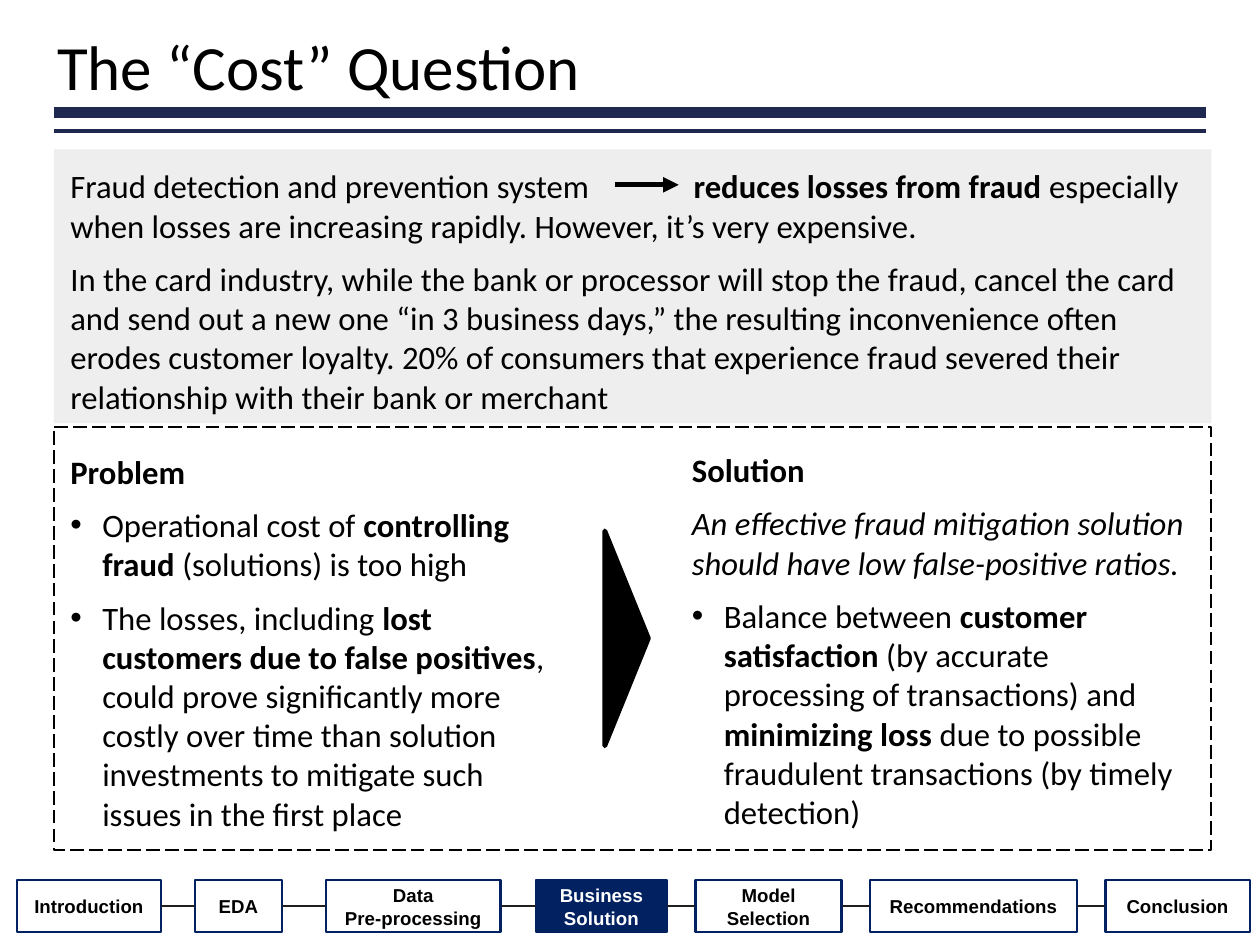
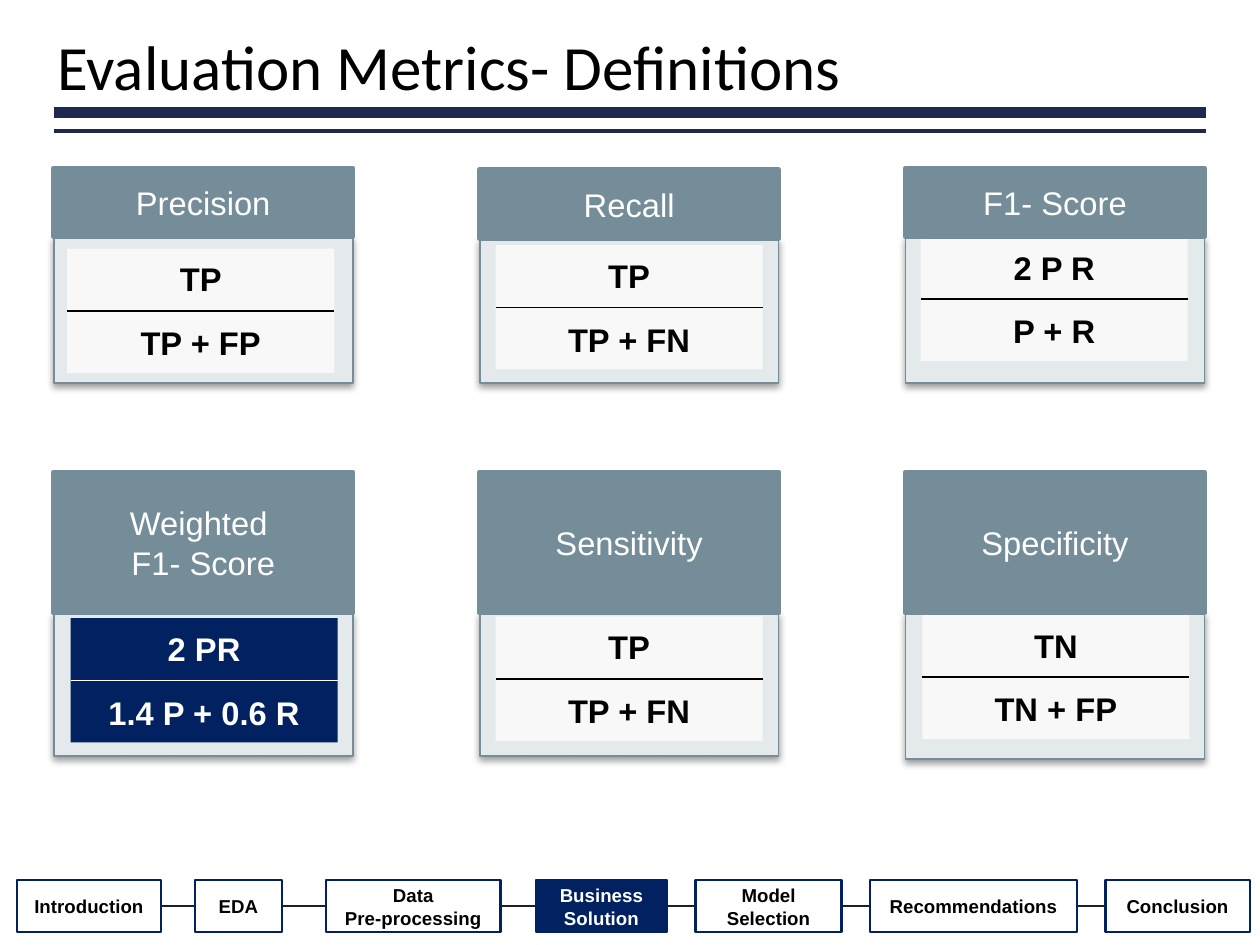
from pptx import Presentation
from pptx.dml.color import RGBColor
from pptx.enum.dml import MSO_LINE
from pptx.enum.shapes import MSO_CONNECTOR, MSO_SHAPE
from pptx.enum.text import MSO_ANCHOR, PP_ALIGN
from pptx.oxml import parse_xml
from pptx.oxml.ns import nsdecls, qn
from pptx.util import Inches, Pt

BLACK = RGBColor(0x00, 0x00, 0x00)
WHITE = RGBColor(0xFF, 0xFF, 0xFF)
NAVY = RGBColor(0x01, 0x21, 0x61)
RULE = RGBColor(0x1F, 0x28, 0x4F)
LINK = RGBColor(0x20, 0x20, 0x20)
PANEL = RGBColor(0xEE, 0xEE, 0xEE)
SLATE = RGBColor(0x74, 0x8D, 0x99)
CARD = RGBColor(0xE4, 0xE9, 0xEB)
FORMULA = RGBColor(0xF8, 0xF8, 0xF8)

SLIDE_WIDTH = 7.5
SLIDE_HEIGHT = SLIDE_WIDTH * 3 / 4

TITLE_FONT = {"name": "Calibri", "size": Pt(27)}
BODY_FONT = {"name": "Calibri", "size": Pt(14)}
STEP_FONT = {"name": "Arial", "size": Pt(8), "bold": True}
CARD_FONT = {"name": "Arial", "size": Pt(14)}
FORMULA_FONT = {"name": "Arial", "size": Pt(14), "bold": True}
CENTERED = {"alignment": PP_ALIGN.CENTER}

STEPS = [
    (["Introduction"], 0.1, 0.86),
    (["EDA"], 1.16, 0.52),
    (["Data", "Pre-processing"], 1.94, 1.04),
    (["Business Solution"], 3.19, 0.78),
    (["Model Selection"], 4.14, 0.87),
    (["Recommendations"], 5.18, 1.23),
    (["Conclusion"], 6.58, 0.86),
]
CURRENT_STEP = ["Business Solution"]
STEP_TOP, STEP_HEIGHT = 5.24, 0.31

BOLD = {"bold": True}
ITALIC = {"italic": True}
COST = [
    [
        ("Fraud detection and prevention system\t", {}),
        ("reduces losses from fraud", BOLD),
        (" especially when losses are increasing rapidly. However, it’s very expensive.", {}),
    ],
    [
        ("In the card industry, while the bank or processor will stop the fraud, cancel the card "
         "and send out a new one “in 3 business days,” the resulting inconvenience often erodes "
         "customer loyalty. 20% of consumers that experience fraud severed their relationship "
         "with their bank or merchant", {}),
    ],
]
PROBLEM = [
    [("Problem", BOLD)],
    [
        ("Operational cost of ", {}),
        ("controlling fraud ", BOLD),
        ("(solutions) is too high", {}),
    ],
    [
        ("The losses, including ", {}),
        ("lost customers due to false positives", BOLD),
        (", could prove significantly more costly over time than solution investments "
         "to mitigate such issues in the first place", {}),
    ],
]
SOLUTION = [
    [("Solution", BOLD)],
    [("An effective fraud mitigation solution should have low false-positive ratios.", ITALIC)],
    [
        ("Balance between ", {}),
        ("customer satisfaction ", BOLD),
        ("(by accurate processing of transactions) and ", {}),
        ("minimizing loss ", BOLD),
        ("due to possible fraudulent transactions (by timely detection)", {}),
    ],
]

CARD_ROWS = [
    (0.41, [
        (["Precision"], 1.0, 2.28, 0.4, 1.48, ["TP", "TP + FP"]),
        (["Recall"], 1.01, 2.28, 2.95, 1.46, ["TP", "TP + FN"]),
        (["F1- Score"], 1.0, 2.28, 5.48, 1.41, ["2 P R", "P + R"]),
    ]),
    (0.84, [
        (["Weighted ", "F1- Score"], 2.81, 4.5, 0.42, 3.68, ["2 PR", "1.4 P + 0.6 R"]),
        (["Sensitivity"], 2.81, 4.5, 2.95, 3.67, ["TP", "TP + FN"]),
        (["Specificity"], 2.81, 4.52, 5.49, 3.66, ["TN", "TN + FP"]),
    ]),
]
HIGHLIGHTED = ["2 PR", "1.4 P + 0.6 R"]
CARD_LEFT, CARD_WIDTH, CARD_RIGHT = 0.32, 1.78, 7.17
FORMULA_WIDTH, FORMULA_HEIGHT = 1.59, 0.74


def apply_format(target, values):
    for name, value in values.items():
        setattr(target, name, value)


def plain(lines):
    return [[(line, {})] for line in lines]


def write(shape, paragraphs, font, color=BLACK, gap=0, layout={}, bullets=(), tab=None,
          margins=(0.1, 0.05), anchor=MSO_ANCHOR.TOP):
    frame = shape.text_frame
    side, edge = (Inches(margin) for margin in margins)
    apply_format(frame, {
        "word_wrap": True, "vertical_anchor": anchor,
        "margin_left": side, "margin_right": side,
        "margin_top": edge, "margin_bottom": edge,
    })
    for index, runs in enumerate(paragraphs):
        paragraph = frame.add_paragraph() if index else frame.paragraphs[0]
        properties = paragraph._p.get_or_add_pPr()
        if index in bullets:
            properties.set("marL", str(Inches(0.19)))
            properties.set("indent", str(Inches(-0.19)))
            for xml in ('<a:buFont %s typeface="Arial"/>', '<a:buChar %s char="•"/>'):
                properties.append(parse_xml(xml % nsdecls("a")))
        if tab and index == 0:
            properties.append(parse_xml(
                f'<a:tabLst {nsdecls("a")}><a:tab pos="{Inches(tab)}" algn="l"/></a:tabLst>'))
        apply_format(paragraph, layout)
        if index and gap:
            paragraph.space_before = Pt(gap)
        for text, emphasis in runs:
            run = paragraph.add_run()
            run.text = text
            apply_format(run.font, {**font, **emphasis})
            run.font.color.rgb = color


def add_box(slide, left, top, width, height, fill=None, line=None, weight=1,
            kind=MSO_SHAPE.RECTANGLE):
    shape = slide.shapes.add_shape(
        kind, Inches(left), Inches(top), Inches(width), Inches(height))
    shape.shadow.inherit = False
    if fill is None:
        shape.fill.background()
    else:
        shape.fill.solid()
        shape.fill.fore_color.rgb = fill
    if line is None:
        shape.line.fill.background()
    else:
        shape.line.color.rgb = line
        shape.line.width = Pt(weight)
    return shape


def add_text(slide, left, top, width, height, paragraphs, font, **options):
    box = slide.shapes.add_textbox(
        Inches(left), Inches(top), Inches(width), Inches(height))
    write(box, paragraphs, font, **options)


def add_line(slide, start, end, y, color, weight):
    connector = slide.shapes.add_connector(
        MSO_CONNECTOR.STRAIGHT, Inches(start), Inches(y), Inches(end), Inches(y))
    connector.line.color.rgb = color
    connector.line.width = Pt(weight)
    connector.element.spPr.append(parse_xml(f'<a:effectLst {nsdecls("a")}/>'))
    return connector


def add_shadow(shape):
    shape.element.spPr.find(qn("a:effectLst")).append(parse_xml(
        f'<a:outerShdw {nsdecls("a")} blurRad="{Pt(3.1)}" dist="{Pt(1.6)}" dir="5400000" '
        'algn="t" rotWithShape="0"><a:srgbClr val="000000"><a:alpha val="38000"/>'
        '</a:srgbClr></a:outerShdw>'))


def add_steps(slide):
    previous = None
    for lines, left, width in STEPS:
        current = lines == CURRENT_STEP
        step = add_box(slide, left, STEP_TOP, width, STEP_HEIGHT,
                       NAVY if current else WHITE, NAVY)
        write(step, plain(lines), STEP_FONT, WHITE if current else BLACK, layout=CENTERED,
              margins=(0.05, 0), anchor=MSO_ANCHOR.MIDDLE)
        if previous is not None:
            link = add_line(slide, left, left, STEP_TOP, LINK, 0.75)
            link.begin_connect(previous, 3)
            link.end_connect(step, 1)
        previous = step


def add_base_slide(presentation, title):
    slide = presentation.slides.add_slide(presentation.slide_layouts[6])
    add_steps(slide)
    for y, weight in ((0.67, 4.5), (0.78, 1.5)):
        add_line(slide, 0.32, 7.18, y, RULE, weight)
    add_text(slide, 0.28, 0.16, 6.89, 0.51, plain([title]), TITLE_FONT,
             layout={"line_spacing": 0.9}, margins=(0.06, 0.03), anchor=MSO_ANCHOR.MIDDLE)
    return slide


def add_cost_slide(presentation):
    slide = add_base_slide(presentation, "The “Cost” Question")
    panel = add_box(slide, 0.32, 0.89, 6.89, 1.63, PANEL)
    write(panel, COST, BODY_FONT, gap=6, layout={"alignment": PP_ALIGN.LEFT},
          tab=3.71, margins=(0.1, 0.1))
    frame = add_box(slide, 0.32, 2.54, 6.89, 2.52, line=BLACK, weight=0.75)
    frame.line.dash_style = MSO_LINE.LONG_DASH
    arrow = add_line(slide, 3.66, 4.04, 1.1, BLACK, 2.25)
    arrow.element.spPr.find(qn("a:ln")).append(
        parse_xml(f'<a:tailEnd {nsdecls("a")} type="triangle"/>'))
    add_text(slide, 0.32, 2.64, 3.12, 2.63, PROBLEM, BODY_FONT, gap=6, bullets=(1, 2))
    pointer = add_box(slide, 3.09, 3.67, 1.28, 0.26, BLACK, BLACK, 2,
                      MSO_SHAPE.FLOWCHART_EXTRACT)
    pointer.rotation = 90
    add_text(slide, 4.02, 2.63, 3.16, 2.39, SOLUTION, BODY_FONT, gap=6, bullets=(2,))


def add_card(slide, left, header_height, card):
    title, top, bottom, formula_left, formula_top, formula = card
    body_top = top + header_height
    highlighted = formula == HIGHLIGHTED
    ink = WHITE if highlighted else BLACK
    body = add_box(slide, left, body_top, CARD_WIDTH, bottom - body_top, CARD, SLATE, 0.75)
    add_shadow(body)
    fraction = add_box(slide, formula_left, formula_top, FORMULA_WIDTH, FORMULA_HEIGHT,
                       NAVY if highlighted else FORMULA)
    write(fraction, plain(formula), FORMULA_FONT, ink, gap=10.5, layout=CENTERED,
          anchor=MSO_ANCHOR.MIDDLE)
    add_line(slide, formula_left, formula_left + FORMULA_WIDTH,
             formula_top + FORMULA_HEIGHT / 2, ink, 0.75)
    header = add_box(slide, left, top, CARD_WIDTH, header_height, SLATE, SLATE, 2)
    write(header, plain(title), CARD_FONT, WHITE, layout=CENTERED, anchor=MSO_ANCHOR.MIDDLE)


def add_metrics_slide(presentation):
    slide = add_base_slide(presentation, "Evaluation Metrics- Definitions")
    for header_height, cards in CARD_ROWS:
        pitch = (CARD_RIGHT - CARD_WIDTH - CARD_LEFT) / (len(cards) - 1)
        for column, card in enumerate(cards):
            add_card(slide, CARD_LEFT + column * pitch, header_height, card)


def main():
    presentation = Presentation()
    presentation.slide_width = Inches(SLIDE_WIDTH)
    presentation.slide_height = Inches(SLIDE_HEIGHT)
    add_cost_slide(presentation)
    add_metrics_slide(presentation)
    presentation.save("out.pptx")


if __name__ == "__main__":
    main()
